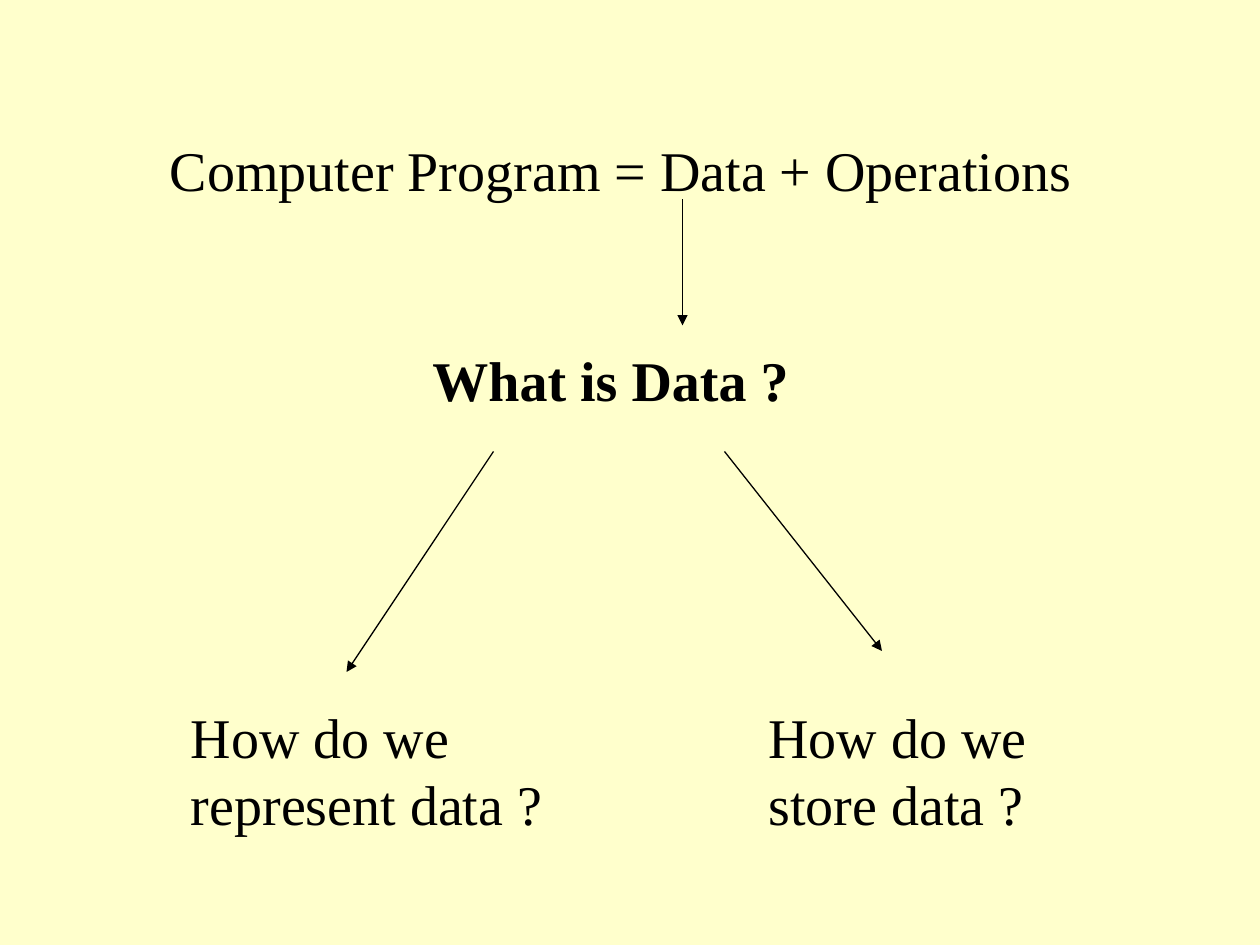
from lxml.etree import SubElement
from pptx import Presentation
from pptx.dml.color import RGBColor
from pptx.enum.shapes import MSO_CONNECTOR
from pptx.enum.text import MSO_AUTO_SIZE
from pptx.oxml.ns import qn
from pptx.util import Inches, Pt

COLORS = {"background": "FFFFCC", "ink": "000000"}
FONT = "Times New Roman"
ONE_LINE, TWO_LINES = 7.7, 14


def grid(units):
    """Length of grid units; the slide has 120 columns and 90 rows."""
    return Inches(units / 12)


def add_label(slide, text, col, row, cols, rows, bold=False):
    box = slide.shapes.add_textbox(grid(col), grid(row), grid(cols), grid(rows))
    tf = box.text_frame
    tf.word_wrap = True
    tf.auto_size = MSO_AUTO_SIZE.NONE
    tf.margin_top = Inches(0.08)
    tf.margin_bottom = Inches(0.02)
    tf.text = text
    p = tf.paragraphs[0]
    p.line_spacing = Pt(38.3)
    font = p.runs[0].font
    font.name = FONT
    font.size = Pt(32)
    font.bold = bold
    font.color.rgb = RGBColor.from_string(COLORS["ink"])


def add_arrow(slide, start, end):
    """Draw an arrow between two (column, row) points."""
    points = [grid(v) for v in start + end]
    arrow = slide.shapes.add_connector(MSO_CONNECTOR.STRAIGHT, *points)
    arrow.line.color.rgb = RGBColor.from_string(COLORS["ink"])
    arrow.line.width = Pt(0.75)
    SubElement(arrow.line._get_or_add_ln(), qn("a:tailEnd"), type="triangle")
    SubElement(arrow._element.spPr, qn("a:effectLst"))


def main():
    prs = Presentation()
    prs.slide_width, prs.slide_height = grid(120), grid(90)
    slide = prs.slides.add_slide(prs.slide_layouts[6])
    fill = slide.background.fill
    fill.solid()
    fill.fore_color.rgb = RGBColor.from_string(COLORS["background"])

    add_label(slide, "Computer Program = Data + Operations", 15, 12, 94, ONE_LINE)
    add_label(slide, "What is Data ?", 40, 32, 40, ONE_LINE, bold=True)
    add_arrow(slide, (47, 43), (33, 64))
    add_arrow(slide, (69, 43), (84, 62))
    add_label(slide, "How do we represent data ?", 17, 66, 44, TWO_LINES)
    add_label(slide, "How do we store data ?", 72, 66, 36, TWO_LINES)
    add_arrow(slide, (65, 19), (65, 31))

    prs.save("out.pptx")


if __name__ == "__main__":
    main()
